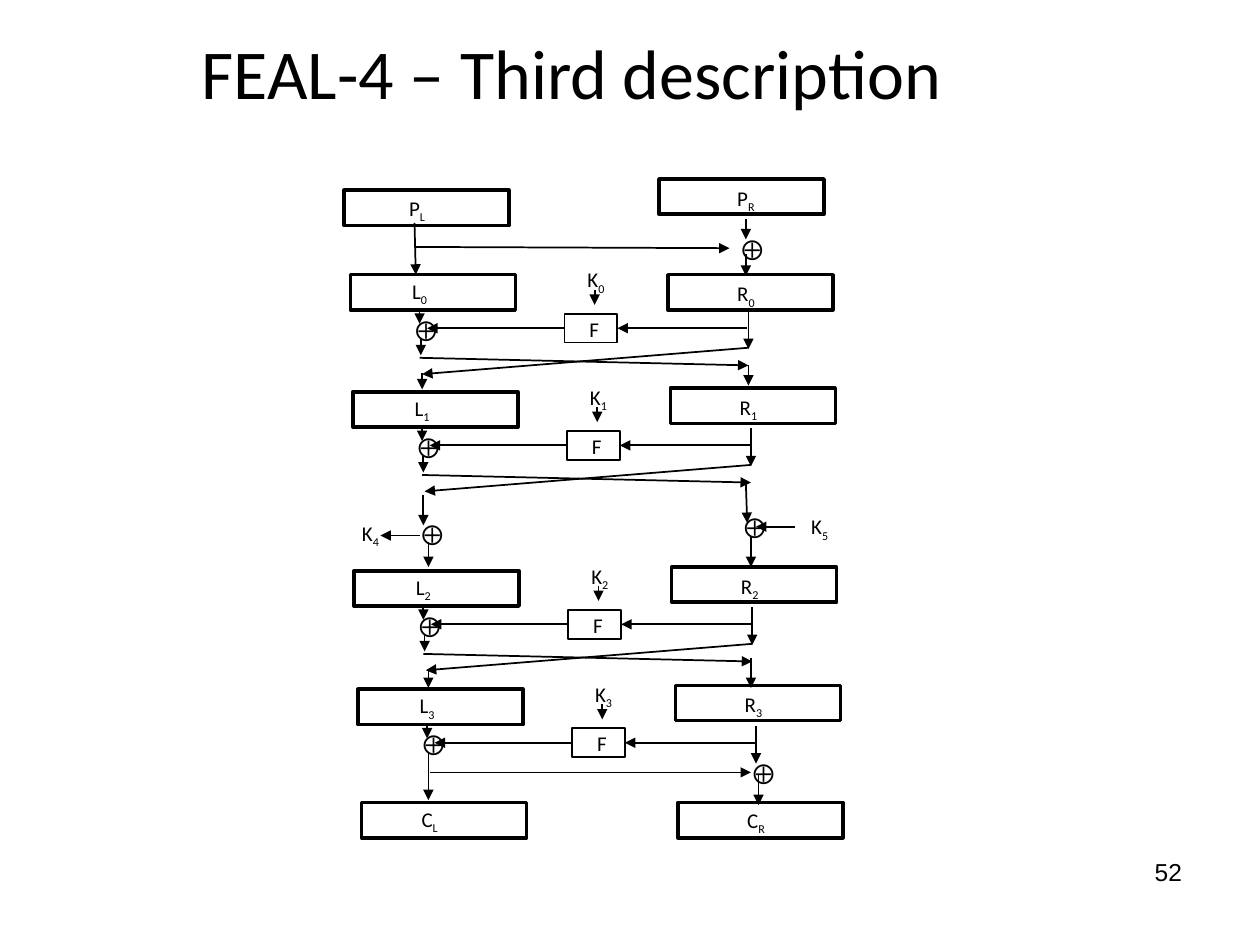
from pptx import Presentation
from pptx.dml.color import RGBColor
from pptx.enum.shapes import MSO_CONNECTOR, MSO_SHAPE
from pptx.enum.text import MSO_ANCHOR, PP_ALIGN
from pptx.oxml.ns import qn
from pptx.util import Inches, Pt
from lxml.etree import SubElement

COLORS = {"ink": "000000"}
INK = RGBColor.from_string(COLORS["ink"])
XOR = "⨁"
BOX_W, BOX_H = 1.31, 0.28
F_W, F_H = 0.42, 0.23

# Left and top of each round's F box, and top of its right-hand box
ROUNDS = [(4.48, 2.49, 2.18), (4.5, 3.42, 3.08), (4.51, 4.84, 4.5), (4.54, 5.78, 5.44)]


def add_text(s, x, y, w, h, text, sub="", size=12, font="Calibri",
             align=PP_ALIGN.CENTER, wrap=True, anchor=MSO_ANCHOR.TOP):
    tf = s.shapes.add_textbox(Inches(x), Inches(y), Inches(w), Inches(h)).text_frame
    tf.word_wrap = wrap
    tf.vertical_anchor = anchor
    p = tf.paragraphs[0]
    p.alignment = align
    p.font.size = Pt(size)
    p.font.name = font
    p.font.color.rgb = INK
    p.add_run().text = text
    if sub:
        r = p.add_run()
        r.text = sub
        r._r.get_or_add_rPr().set("baseline", "-25000")


def add_box(s, x, y, w=BOX_W, h=BOX_H, weight=2):
    box = s.shapes.add_shape(MSO_SHAPE.RECTANGLE, Inches(x), Inches(y), Inches(w), Inches(h))
    box.shadow.inherit = False
    box.fill.background()
    box.line.color.rgb = INK
    box.line.width = Pt(weight)
    return box


def add_arrow(s, x1, y1, x2, y2):
    line = s.shapes.add_connector(MSO_CONNECTOR.STRAIGHT,
                                  Inches(x1), Inches(y1), Inches(x2), Inches(y2))
    line.line.color.rgb = INK
    line.line.width = Pt(1)
    SubElement(line.line._get_or_add_ln(), qn("a:tailEnd"), type="triangle")
    SubElement(line._element.spPr, qn("a:effectLst"))
    return line


def add_register(s, x, y, name, sub, text_x, text_y):
    """A framed half-block with its subscripted name."""
    add_box(s, x, y)
    add_text(s, text_x, text_y, 0.34, 0.3, name, sub, wrap=False)


def add_xor(s, x, y):
    add_text(s, x, y, 0.26, 0.3, XOR)


def add_round(s, i, x, y, right_y):
    """One Feistel round, placed relative to its F box."""
    n = str(i)
    add_register(s, x - 1.7, y - 0.31, "L", n, x - 1.32, y - 0.33)
    add_register(s, x + 0.82, right_y, "R", n, x + 1.27, right_y)

    # Round function and subkey
    f_box = add_box(s, x, y, F_W, F_H, 1)
    add_text(s, x + 0.1, y - 0.03, 0.26, 0.3, "F")
    add_text(s, x + 0.06, y - 0.42, 0.38, 0.3, "K", n)
    add_arrow(s, x + 0.24, y - 0.19, x + 0.24, y - 0.07)

    # Right half through F into the left half
    mid = y + F_H / 2
    add_arrow(s, x + 1.45, mid, x + F_W, mid).end_connect(f_box, 3)
    add_arrow(s, x, mid, x - 1.09, mid).begin_connect(f_box, 1)
    add_xor(s, x - 1.28, y - 0.03)
    add_arrow(s, x - 1.15, y - 0.03, x - 1.15, y + 0.08)
    add_arrow(s, x + 1.46, y - 0.02, x + 1.46, y + 0.28)


def add_swap(s, x, y):
    """The crossing of the halves below a round."""
    add_arrow(s, x - 1.14, y + 0.2, x - 1.14, y + 0.33)
    add_arrow(s, x + 1.46, y + 0.27, x - 1.13, y + 0.48)
    add_arrow(s, x - 1.15, y + 0.35, x + 1.46, y + 0.41)


def add_input(s):
    add_register(s, 2.73, 1.51, "P", "L", 3.14, 1.5)
    add_register(s, 5.23, 1.42, "P", "R", 5.75, 1.42)
    add_xor(s, 5.79, 1.82)
    for ends in [(3.29, 1.77, 3.3, 2.18), (3.29, 1.96, 5.79, 1.97),
                 (5.92, 1.74, 5.92, 1.9), (5.92, 2.02, 5.92, 2.19)]:
        add_arrow(s, *ends)


def add_middle_keys(s):
    add_text(s, 2.75, 4.08, 0.38, 0.3, "K", "4")
    add_text(s, 6.26, 4.03, 0.49, 0.3, "K", "5")
    add_xor(s, 3.25, 4.08)
    add_xor(s, 5.81, 4.03)
    for ends in [(3.33, 4.25, 3.02, 4.25), (6.31, 4.18, 6, 4.18),
                 (3.36, 3.93, 3.36, 4.17), (5.92, 3.84, 5.93, 4.15),
                 (3.4, 4.3, 3.4, 4.5), (5.96, 4.26, 5.96, 4.5)]:
        add_arrow(s, *ends)


def add_output(s):
    add_register(s, 2.87, 6.37, "C", "L", 3.24, 6.35)
    add_register(s, 5.38, 6.37, "C", "R", 5.83, 6.36)
    add_xor(s, 5.88, 5.98)
    for ends in [(3.4, 5.98, 3.4, 6.35), (3.41, 6.13, 5.96, 6.13),
                 (6.02, 6.15, 6.02, 6.39)]:
        add_arrow(s, *ends)


def main():
    prs = Presentation()
    prs.slide_width, prs.slide_height = Inches(10), Inches(7.5)
    s = prs.slides.add_slide(prs.slide_layouts[6])

    # Title and page number
    add_text(s, 0.08, 0.17, 8.91, 0.79, "FEAL-4 – Third description",
             size=40, anchor=MSO_ANCHOR.MIDDLE)
    add_text(s, 7.92, 6.75, 1.56, 0.38, "52", size=14, font="Arial", align=PP_ALIGN.RIGHT)

    # Cipher from plaintext to ciphertext
    add_input(s)
    for i, (x, y, right_y) in enumerate(ROUNDS):
        add_round(s, i, x, y, right_y)
    for x, y, _ in ROUNDS[:-1]:
        add_swap(s, x, y)
    add_middle_keys(s)
    add_output(s)

    # Swapped halves entering rounds 1 and 3
    for x, top, bottom in [(3.35, 2.96, 3.09), (5.94, 2.9, 3.06),
                           (3.4, 5.32, 5.46), (5.96, 5.22, 5.46)]:
        add_arrow(s, x, top, x, bottom)

    prs.save("out.pptx")


if __name__ == "__main__":
    main()
